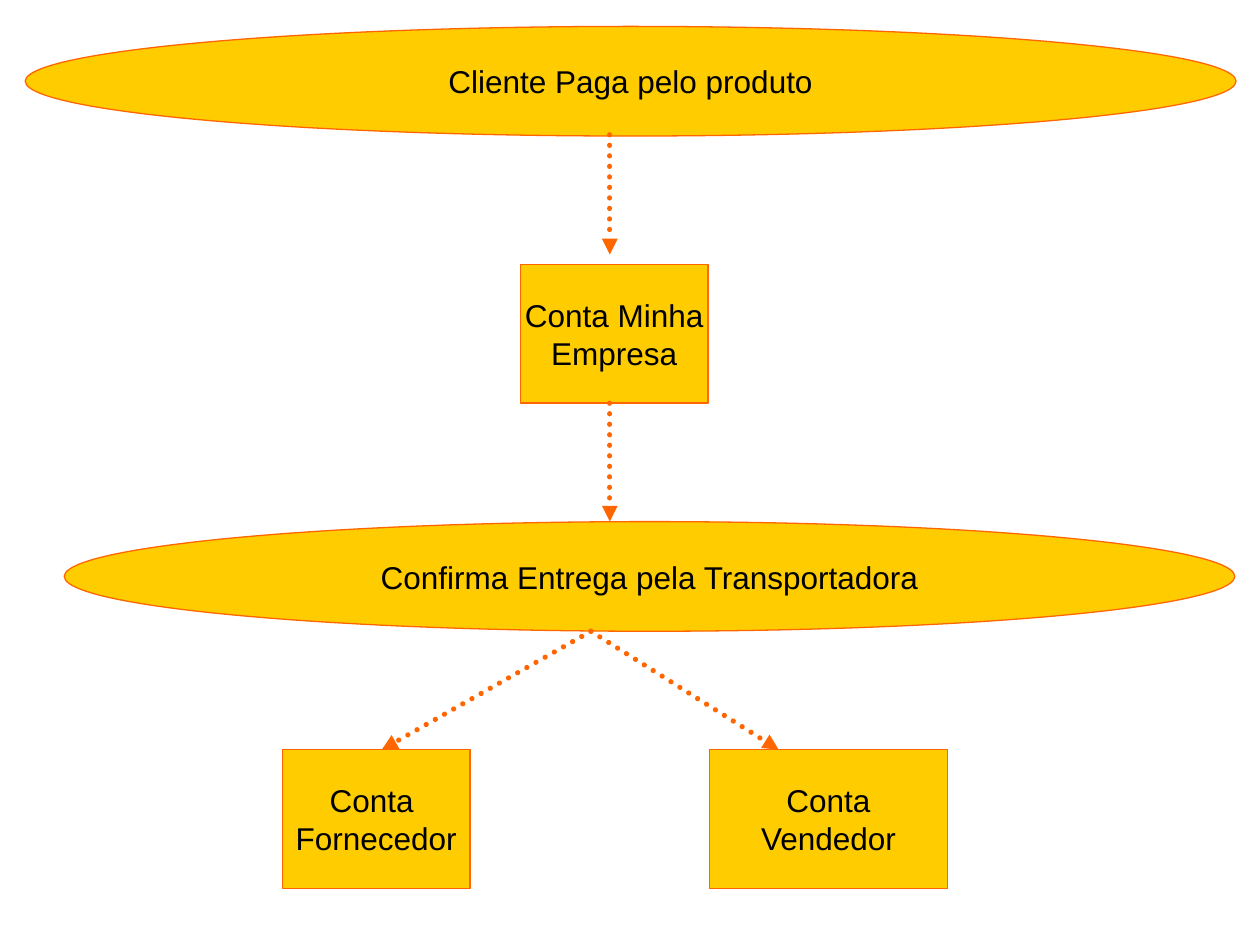
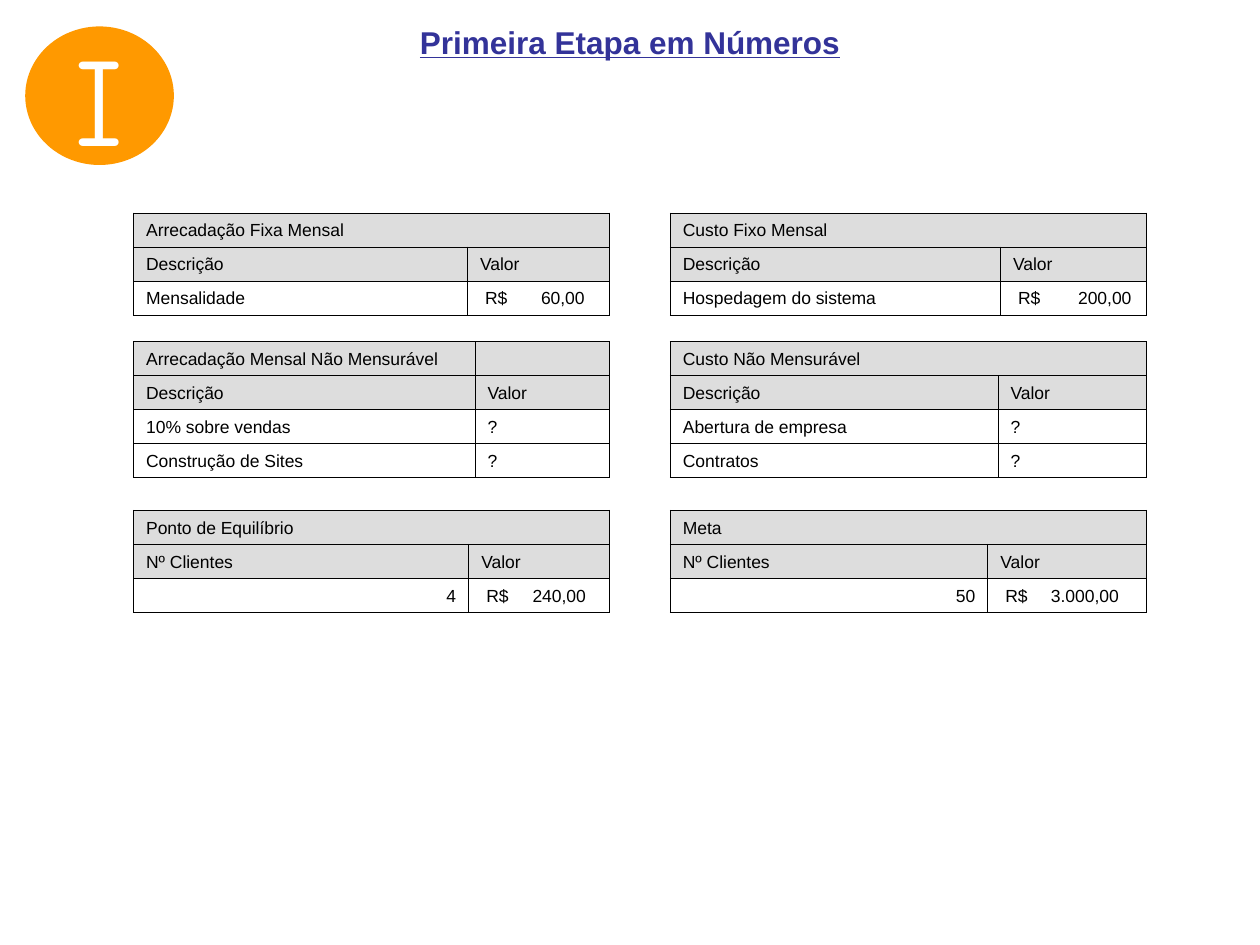
from lxml.etree import SubElement
from pptx import Presentation
from pptx.dml.color import RGBColor
from pptx.enum.dml import MSO_LINE
from pptx.enum.shapes import MSO_CONNECTOR, MSO_SHAPE
from pptx.enum.text import MSO_ANCHOR, PP_ALIGN
from pptx.oxml.ns import qn
from pptx.util import Inches, Pt

BLACK = RGBColor(0x00, 0x00, 0x00)
WHITE = RGBColor(0xFF, 0xFF, 0xFF)
YELLOW = RGBColor(0xFF, 0xCC, 0x00)
ORANGE = RGBColor(0xFF, 0x66, 0x00)
BADGE_ORANGE = RGBColor(0xFF, 0x99, 0x00)
TITLE_BLUE = RGBColor(0x33, 0x33, 0x99)
HEADER_GREY = RGBColor(0xDD, 0xDD, 0xDD)

BODY_FONT = "Arial"
BADGE_FONT = "Comic Neue"

LEFT_COLUMN, RIGHT_COLUMN = 1.06, 5.32
TABLE_WIDTH = 3.78
ROW_HEIGHT = 0.27
HEADER_ROWS = 2
LEFT_AMOUNT_TAB, RIGHT_AMOUNT_TAB = 0.79, 0.9


def style_paragraph(paragraph, size, color=BLACK, name=BODY_FONT, align=PP_ALIGN.CENTER):
    paragraph.alignment = align
    paragraph.font.size = Pt(size)
    paragraph.font.name = name
    paragraph.font.color.rgb = color


def add_filled_shape(slide, kind, box, text, fill, outline=None, **font):
    shape = slide.shapes.add_shape(kind, *map(Inches, box))
    shape.shadow.inherit = False
    shape.fill.solid()
    shape.fill.fore_color.rgb = fill
    if outline is None:
        shape.line.fill.background()
    else:
        shape.line.color.rgb = outline
        shape.line.width = Pt(0.75)
    frame = shape.text_frame
    frame.word_wrap = False
    frame.vertical_anchor = MSO_ANCHOR.MIDDLE
    frame.text = text
    for paragraph in frame.paragraphs:
        style_paragraph(paragraph, **font)


def add_step(slide, kind, box, text):
    add_filled_shape(slide, kind, box, text, YELLOW, ORANGE, size=18)


def add_dotted_arrow(slide, start, end):
    connector = slide.shapes.add_connector(
        MSO_CONNECTOR.STRAIGHT, *map(Inches, (*start, *end)))
    connector.line.color.rgb = ORANGE
    connector.line.width = Pt(3)
    connector.line.dash_style = MSO_LINE.ROUND_DOT
    properties = connector._element.spPr
    line = properties.find(qn("a:ln"))
    line.set("cap", "rnd")
    SubElement(line, qn("a:tailEnd"), type="triangle")
    SubElement(properties, qn("a:effectLst"))


def add_title(slide, text):
    box = slide.shapes.add_textbox(Inches(0), Inches(0.13), Inches(10), Inches(0.4))
    box.text_frame.word_wrap = True
    box.text_frame.text = text
    paragraph = box.text_frame.paragraphs[0]
    style_paragraph(paragraph, 18, TITLE_BLUE)
    paragraph.font.bold = True
    paragraph.font.underline = True


def add_borders(cell):
    properties = cell._tc.get_or_add_tcPr()
    for side in ("lnL", "lnR", "lnT", "lnB"):
        border = SubElement(properties, qn(f"a:{side}"), w=str(Pt(0.45)))
        color = SubElement(border, qn("a:solidFill"))
        SubElement(color, qn("a:srgbClr"), val=str(BLACK))


def add_tab_stop(paragraph, position):
    """Right-align whatever follows a tab at the given distance."""
    tabs = SubElement(paragraph._p.get_or_add_pPr(), qn("a:tabLst"))
    SubElement(tabs, qn("a:tab"), pos=str(Inches(position)), algn="r")


def fill_cell(cell, text, is_header, amount_tab):
    add_borders(cell)
    if is_header:
        cell.fill.solid()
        cell.fill.fore_color.rgb = HEADER_GREY
    else:
        cell.fill.background()
    cell.vertical_anchor = MSO_ANCHOR.BOTTOM
    paragraph = cell.text_frame.paragraphs[0]
    if "\t" in text:
        cell.margin_left = Inches(0.14)
        add_tab_stop(paragraph, amount_tab)
    if text:
        paragraph.add_run().text = text
    else:
        SubElement(paragraph._p, qn("a:endParaRPr"), sz="1000")
    align = PP_ALIGN.RIGHT if text.isdigit() else PP_ALIGN.LEFT
    style_paragraph(paragraph, 10, align=align)


def add_value_table(slide, left, top, first_width, title, label, entries, merge_title=True):
    rows = [(title, ""), (label, "Valor"), *entries]
    table = slide.shapes.add_table(
        len(rows), 2, Inches(left), Inches(top),
        Inches(TABLE_WIDTH), Inches(ROW_HEIGHT * len(rows))).table
    table.first_row = table.horz_banding = False
    table.columns[0].width = Inches(first_width)
    table.columns[1].width = Inches(TABLE_WIDTH - first_width)
    amount_tab = LEFT_AMOUNT_TAB if left == LEFT_COLUMN else RIGHT_AMOUNT_TAB
    for row, texts in enumerate(rows):
        table.rows[row].height = Inches(ROW_HEIGHT)
        for column, text in enumerate(texts):
            fill_cell(table.cell(row, column), text, row < HEADER_ROWS, amount_tab)
    if merge_title:
        table.cell(0, 0).merge(table.cell(0, 1))


def build_payment_flow(slide):
    ellipse, rectangle = MSO_SHAPE.OVAL, MSO_SHAPE.RECTANGLE
    add_step(slide, ellipse, (0.2, 0.21, 9.61, 0.87), "Cliente Paga pelo produto")
    add_step(slide, rectangle, (4.13, 2.1, 1.49, 1.1), "Conta Minha\nEmpresa")
    add_step(slide, ellipse, (0.51, 4.14, 9.29, 0.87), "Confirma Entrega pela Transportadora")
    add_step(slide, rectangle, (2.24, 5.95, 1.49, 1.1), "Conta \nFornecedor")
    add_step(slide, rectangle, (5.63, 5.95, 1.89, 1.1), "Conta\nVendedor")

    add_dotted_arrow(slide, (4.84, 1.07), (4.84, 2.02))
    add_dotted_arrow(slide, (4.84, 3.2), (4.84, 4.14))
    for account_x in (3.03, 6.18):
        add_dotted_arrow(slide, (4.69, 5.01), (account_x, 5.95))


def build_first_stage_numbers(slide):
    add_filled_shape(slide, MSO_SHAPE.OVAL, (0.2, 0.21, 1.18, 1.1), "I", BADGE_ORANGE,
                     size=72, color=WHITE, name=BADGE_FONT)
    add_title(slide, "Primeira Etapa em Números")

    fixed_top, variable_top, target_top = 1.69, 2.71, 4.05
    add_value_table(slide, LEFT_COLUMN, fixed_top, 2.65, "Arrecadação Fixa Mensal",
                    "Descrição", [("Mensalidade", "R$\t60,00")])
    add_value_table(slide, RIGHT_COLUMN, fixed_top, 2.62, "Custo Fixo Mensal",
                    "Descrição", [("Hospedagem do sistema", "R$\t200,00")])
    add_value_table(slide, LEFT_COLUMN, variable_top, 2.71, "Arrecadação Mensal Não Mensurável",
                    "Descrição", [("10% sobre vendas", "?"), ("Construção de Sites", "?")],
                    merge_title=False)
    add_value_table(slide, RIGHT_COLUMN, variable_top, 2.6, "Custo Não Mensurável",
                    "Descrição", [("Abertura de empresa", "?"), ("Contratos", "?")])
    add_value_table(slide, LEFT_COLUMN, target_top, 2.66, "Ponto de Equilíbrio",
                    "Nº Clientes", [("4", "R$\t240,00")])
    add_value_table(slide, RIGHT_COLUMN, target_top, 2.52, "Meta",
                    "Nº Clientes", [("50", "R$\t3.000,00")])


def main():
    presentation = Presentation()
    presentation.slide_width = Inches(10)
    presentation.slide_height = Inches(7.5)
    blank = presentation.slide_layouts[6]
    for build in (build_payment_flow, build_first_stage_numbers):
        build(presentation.slides.add_slide(blank))
    presentation.save("out.pptx")


if __name__ == "__main__":
    main()
